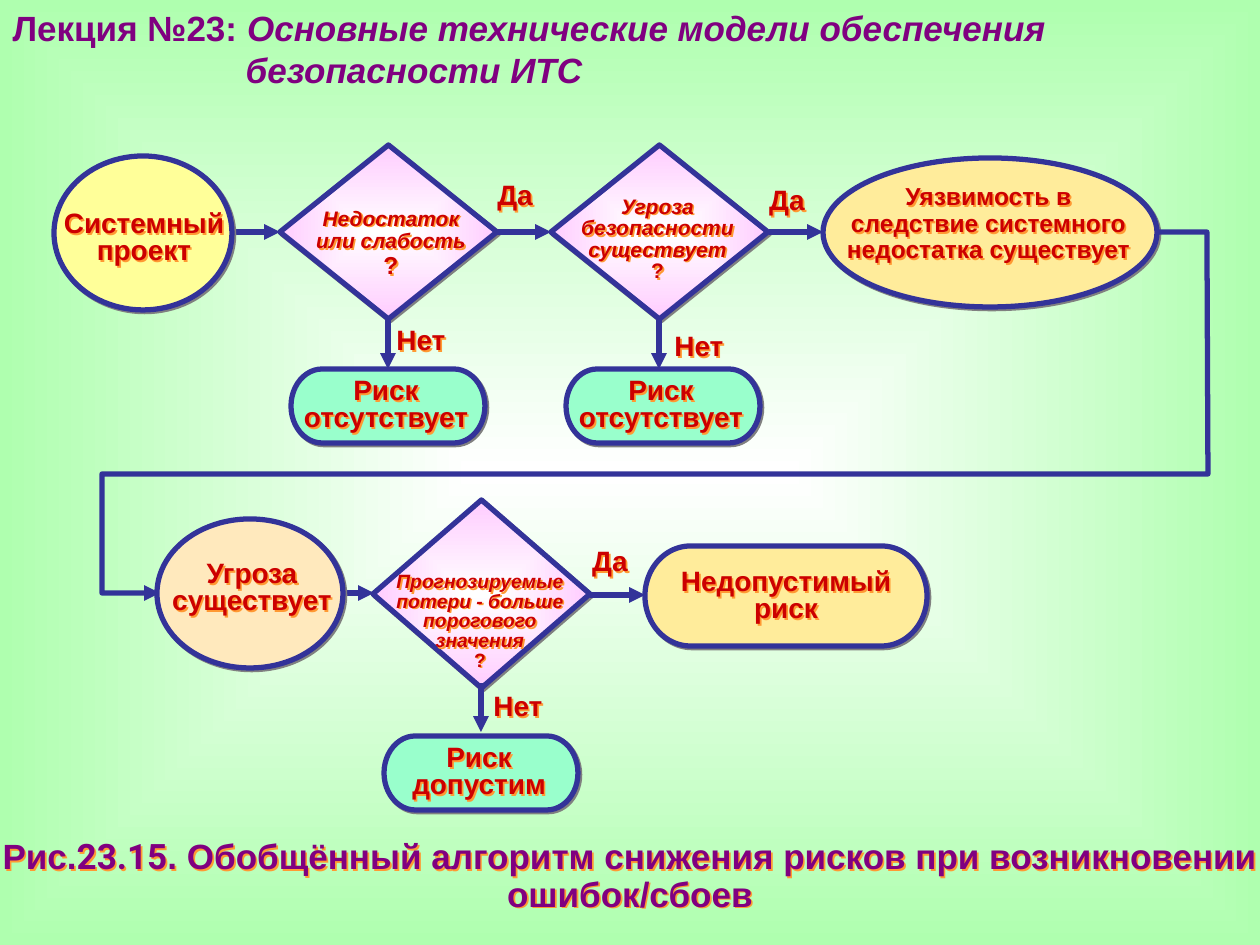
from dataclasses import dataclass

from lxml import etree
from pptx import Presentation
from pptx.dml.color import RGBColor
from pptx.enum.shapes import MSO_CONNECTOR, MSO_SHAPE
from pptx.enum.text import MSO_ANCHOR, MSO_AUTO_SIZE, PP_ALIGN
from pptx.oxml.ns import qn
from pptx.util import Pt

EMU_PER_PX = 914400 / 126
DIAMOND = MSO_SHAPE.DIAMOND
ELLIPSE = MSO_SHAPE.FLOWCHART_CONNECTOR
TERMINATOR = MSO_SHAPE.FLOWCHART_TERMINATOR
STRAIGHT = MSO_CONNECTOR.STRAIGHT
TOP, MIDDLE = MSO_ANCHOR.TOP, MSO_ANCHOR.MIDDLE
LEFT, CENTER = PP_ALIGN.LEFT, PP_ALIGN.CENTER
FIXED_SIZE = MSO_AUTO_SIZE.NONE
TITLE_ONLY = 5

COLORS = {
    "white": "FFFFFF", "page": "AFFFAF", "question": "FFCCFF",
    "outline": "333399", "shadow": "808080", "glow": "FF9933",
    "start": "FFFF99", "danger": "FFEC9B", "threat": "FFE9BD",
    "safe": "99FFCC", "text": "CC0000", "heading": "800080",
}


@dataclass(frozen=True)
class Node:
    kind: MSO_SHAPE
    box: tuple[int, int, int, int]
    color: str


@dataclass(frozen=True)
class Span:
    text: str
    size: int = 16
    italic: bool = False
    font: str = "Arial"
    color: str = "text"


@dataclass(frozen=True)
class Label:
    box: tuple[int, int, int, int]
    paragraphs: tuple[tuple[Span, ...], ...]
    spacing: float = 0.8


STEPS = (
    Node(DIAMOND, (280, 145, 217, 174), "question"),
    Node(DIAMOND, (551, 145, 217, 174), "question"),
    Node(DIAMOND, (373, 500, 217, 188), "question"),
    Node(ELLIPSE, (823, 158, 334, 149), "danger"),
    Node(TERMINATOR, (645, 546, 282, 100), "danger"),
)
ARROWS = (
    (226, 232, 280, 232), (496, 232, 551, 232), (769, 232, 823, 232),
    (320, 593, 374, 593), (590, 595, 645, 595),
    (388, 319, 388, 369), (659, 319, 659, 369), (481, 683, 481, 732),
)
RETURN_PATH = ((1158, 232), (1207, 232), (1208, 474),
               (102, 474), (102, 593), (160, 593))
STARTS = (
    Node(ELLIPSE, (54, 156, 178, 154), "start"),
    Node(ELLIPSE, (157, 519, 186, 149), "threat"),
)
RISKS = ((291, 369, "отсутствует"), (566, 369, "отсутствует"),
         (384, 736, "допустим"))
ANSWERS = (
    ("Да", 490, 185), ("Да", 762, 190), ("Да", 585, 551),
    ("Нет", 396, 330), ("Нет", 674, 336), ("Нет", 493, 696),
)
LABELS = (
    Label((311, 208, 160, 72), ((Span("Недостаток или слабость", 12, True),),
                                (Span("?", 14),)), 0.9),
    Label((559, 197, 197, 86), ((Span("Угроза безопасности существует", 12, True),),
                                (Span("?", 12),)), 0.85),
    Label((387, 572, 186, 100),
          ((Span("Прогнозируемые потери - больше порогового", 11, True),),
           (Span("значения", 11, True),), (Span("?", 11),)), 0.85),
    Label((845, 185, 287, 79),
          ((Span("Уязвимость в следствие системного недостатка существует", 14),),),
          0.9),
    Label((59, 212, 170, 54), ((Span("Системный проект"),),)),
    Label((169, 562, 166, 54), ((Span("Угроза"),), (Span("существует"),))),
    Label((658, 570, 256, 54), ((Span("Недопустимый риск"),),)),
    Label((0, 839, 1260, 76),
          ((Span("Рис.", 20, color="heading"),
            Span("23.15", 20, font="Roboto", color="heading"),
            Span(". Обобщённый алгоритм снижения рисков при возникновении "
                 "ошибок/сбоев", 20, color="heading")),), 0.9),
)


def px(value: int) -> int:
    return round(value * EMU_PER_PX)


def rgb(name: str) -> RGBColor:
    return RGBColor.from_string(COLORS[name])


def apply(target, values: dict) -> None:
    for name, value in values.items():
        setattr(target, name, value)


def fill_from_center(fill, element, outer: str) -> None:
    """Fill with a gradient running from white in the centre to the outer colour."""
    fill.gradient()
    for stop, name in zip(fill.gradient_stops, ("white", outer)):
        stop.color.rgb = rgb(name)
    gradient = element.find(".//" + qn("a:gradFill"))
    gradient.remove(gradient.find(qn("a:lin")))
    path = etree.SubElement(gradient, qn("a:path"), {"path": "shape"})
    etree.SubElement(path, qn("a:fillToRect"), dict.fromkeys("ltrb", "50000"))


def add_shadow(shape, color: str) -> None:
    shape.shadow.inherit = False
    effects = shape.element.spPr.find(qn("a:effectLst"))
    shadow = etree.SubElement(effects, qn("a:outerShdw"), {
        "dist": str(Pt(1.4)), "dir": "2700000", "algn": "ctr", "rotWithShape": "0"})
    etree.SubElement(shadow, qn("a:srgbClr"), {"val": COLORS[color]})


def set_outline(shape) -> None:
    shape.line.color.rgb = rgb("outline")
    shape.line.width = Pt(3)


def add_arrowhead(shape) -> None:
    line = shape.element.spPr.find(qn("a:ln"))
    etree.SubElement(line, qn("a:tailEnd"), {"type": "triangle"})


def add_node(page, node: Node) -> None:
    shape = page.shapes.add_shape(node.kind, *map(px, node.box))
    if node.kind == DIAMOND:
        fill_from_center(shape.fill, shape.element, node.color)
    else:
        shape.fill.solid()
        shape.fill.fore_color.rgb = rgb(node.color)
    set_outline(shape)
    add_shadow(shape, "shadow")


def add_arrow(page, ends: tuple[int, int, int, int]) -> None:
    arrow = page.shapes.add_connector(STRAIGHT, *map(px, ends))
    set_outline(arrow)
    add_arrowhead(arrow)
    etree.SubElement(arrow.element.spPr, qn("a:effectLst"))


def add_return_path(page) -> None:
    start, *corners = [(px(x), px(y)) for x, y in RETURN_PATH]
    builder = page.shapes.build_freeform(*start)
    builder.add_line_segments(corners, close=False)
    route = builder.convert_to_shape()
    route.fill.background()
    set_outline(route)
    add_arrowhead(route)
    route.shadow.inherit = False


def write(frame, paragraphs, spacing: float, alignment) -> None:
    for index, spans in enumerate(paragraphs):
        para = frame.add_paragraph() if index else frame.paragraphs[0]
        apply(para, {"alignment": alignment, "line_spacing": spacing})
        for span in spans:
            run = para.add_run()
            run.text = span.text
            apply(run.font, {"size": Pt(span.size), "name": span.font,
                             "bold": True, "italic": span.italic})
            run.font.color.rgb = rgb(span.color)


def add_label(page, label: Label) -> None:
    box = page.shapes.add_textbox(*map(px, label.box))
    frame = box.text_frame
    apply(frame, {"word_wrap": True, "auto_size": FIXED_SIZE,
                  "vertical_anchor": MIDDLE, "margin_left": 0, "margin_right": 0,
                  "margin_top": 0, "margin_bottom": 0})
    write(frame, label.paragraphs, label.spacing, CENTER)
    add_shadow(box, "glow")


def add_title(page) -> None:
    title = page.shapes.title
    apply(title, {"left": 0, "top": 0, "width": px(1260), "height": px(97)})
    frame = title.text_frame
    apply(frame, {"word_wrap": True, "auto_size": FIXED_SIZE, "vertical_anchor": TOP})
    write(frame, (
        (Span("Лекция №23: ", 20, color="heading"),
         Span("Основные технические модели обеспечения", 20, True, color="heading")),
        (Span("безопасности ИТС", 20, True, color="heading"),)), 1.0, LEFT)
    frame.paragraphs[1].element.get_or_add_pPr().set("marL", str(px(233))) if hasattr(
        frame.paragraphs[1], "element") else frame.paragraphs[1]._p.get_or_add_pPr().set(
        "marL", str(px(233)))


def main() -> None:
    deck = Presentation()
    deck.slide_width, deck.slide_height = px(1260), px(945)
    page = deck.slides.add_slide(deck.slide_layouts[TITLE_ONLY])
    fill_from_center(page.background.fill, page.element, "page")
    add_title(page)
    for node in STEPS:
        add_node(page, node)
    for ends in ARROWS:
        add_arrow(page, ends)
    add_return_path(page)
    for node in STARTS:
        add_node(page, node)
    for left, top, outcome in RISKS:
        add_node(page, Node(TERMINATOR, (left, top, 194, 74), "safe"))
        add_label(page, Label((left + 10, top + 10, 170, 54),
                              ((Span("Риск"),), (Span(outcome),))))
    for text, left, top in ANSWERS:
        add_label(page, Label((left, top, 50, 26), ((Span(text),),)))
    for label in LABELS:
        add_label(page, label)
    deck.save("out.pptx")


if __name__ == "__main__":
    main()
